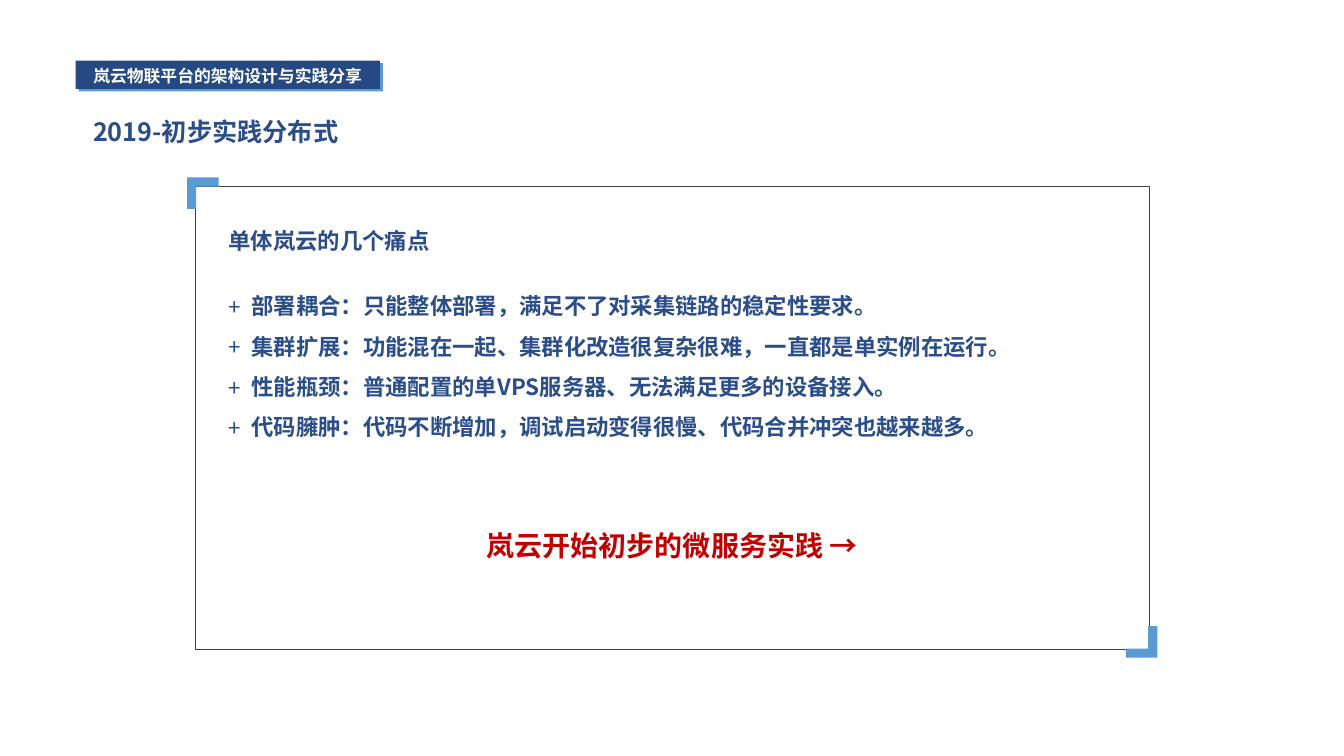
from lxml.etree import SubElement
from pptx import Presentation
from pptx.dml.color import RGBColor
from pptx.enum.shapes import MSO_SHAPE
from pptx.enum.text import MSO_ANCHOR, PP_ALIGN
from pptx.oxml.ns import qn
from pptx.util import Pt

NAVY = RGBColor(0x26, 0x49, 0x84)
INK = RGBColor(0x2B, 0x4D, 0x89)
SKY = RGBColor(0x5B, 0x9B, 0xD5)
RED = RGBColor(0xC0, 0x00, 0x00)
GRAY = RGBColor(0x40, 0x40, 0x40)
WHITE = RGBColor(0xFF, 0xFF, 0xFF)
CJK_FONT = "Noto Sans CJK SC"

PAIN_POINTS = [
    "部署耦合：只能整体部署，满足不了对采集链路的稳定性要求。",
    "集群扩展：功能混在一起、集群化改造很复杂很难，一直都是单实例在运行。",
    "性能瓶颈：普通配置的单VPS服务器、无法满足更多的设备接入。",
    "代码臃肿：代码不断增加，调试启动变得很慢、代码合并冲突也越来越多。",
]


def add_bullet(paragraph, character, indent):
    properties = paragraph._p.get_or_add_pPr()
    properties.set("marL", str(Pt(indent)))
    properties.set("indent", str(-Pt(indent)))
    SubElement(properties, qn("a:buFont"), typeface=CJK_FONT)
    SubElement(properties, qn("a:buChar"), char=character)


def add_text(slide, box, lines, size, color, name=CJK_FONT, bullet=None,
             paragraph_format=None, frame_format=None):
    frame = slide.shapes.add_textbox(*map(Pt, box)).text_frame
    frame.word_wrap = True
    for attribute, value in (frame_format or {}).items():
        setattr(frame, attribute, value)
    font_format = {"size": Pt(size), "name": name, "bold": True}
    for index, line in enumerate(lines):
        paragraph = frame.add_paragraph() if index else frame.paragraphs[0]
        for attribute, value in (paragraph_format or {}).items():
            setattr(paragraph, attribute, value)
        if bullet:
            add_bullet(paragraph, bullet, 16.5)
        run = paragraph.add_run()
        run.text = line
        for attribute, value in font_format.items():
            setattr(run.font, attribute, value)
        run.font.color.rgb = color
        SubElement(run._r.get_or_add_rPr(), qn("a:ea"), typeface=CJK_FONT)


def add_rectangle(slide, box, fill=None, line=None):
    shape = slide.shapes.add_shape(MSO_SHAPE.RECTANGLE, *map(Pt, box))
    shape.shadow.inherit = False
    if fill is None:
        shape.fill.background()
    else:
        shape.fill.solid()
        shape.fill.fore_color.rgb = fill
    if line is None:
        shape.line.fill.background()
    else:
        shape.line.color.rgb = line
        shape.line.width = Pt(0.25)


def add_corner(slide, x, y, direction):
    arm, thickness = 22.5 * direction, 6.5 * direction
    offsets = [(arm, 0), (arm, thickness), (thickness, thickness),
               (thickness, arm), (0, arm)]
    builder = slide.shapes.build_freeform(Pt(x), Pt(y))
    builder.add_line_segments([(Pt(x + dx), Pt(y + dy)) for dx, dy in offsets])
    corner = builder.convert_to_shape()
    corner.shadow.inherit = False
    corner.fill.solid()
    corner.fill.fore_color.rgb = SKY
    corner.line.fill.background()


def add_header(slide, left, top, width, height):
    add_rectangle(slide, (left + 2.2, top + 1.7, width, height), SKY)
    add_rectangle(slide, (left, top, width, height), NAVY)
    add_text(slide, (left, top, width, height + 1.5),
             ["岚云物联平台的架构设计与实践分享"], 12, WHITE, name="Arial",
             paragraph_format={"alignment": PP_ALIGN.CENTER})
    margins = dict.fromkeys(
        ("margin_left", "margin_top", "margin_right", "margin_bottom"), 0)
    add_text(slide, (left + 12.5, top + 39.6, width, 21.6),
             ["2019-初步实践分布式"], 18, INK,
             frame_format={"vertical_anchor": MSO_ANCHOR.MIDDLE, **margins})


def add_panel(slide, left, top, width, height):
    add_rectangle(slide, (left, top, width, height), line=GRAY)
    add_corner(slide, left - 6, top - 6, 1)
    add_corner(slide, left + width + 6, top + height + 6, -1)
    text_left, text_width = left + 16.5, width - 33
    spacing = {"line_spacing": 1.5}
    add_text(slide, (text_left, top + 16.2, text_width, 36),
             ["单体岚云的几个痛点"], 16, INK, paragraph_format=spacing)
    add_text(slide, (text_left, top + 63, text_width, 124),
             PAIN_POINTS, 16, INK, bullet="+", paragraph_format=spacing)
    add_text(slide, (text_left, top + 229.4, text_width, 43),
             ["岚云开始初步的微服务实践 →"], 20, RED,
             paragraph_format={"alignment": PP_ALIGN.CENTER, **spacing})


def main():
    presentation = Presentation()
    presentation.slide_width = Pt(960)
    presentation.slide_height = Pt(540)
    slide = presentation.slides.add_slide(presentation.slide_layouts[6])
    add_header(slide, 54, 43.3, 217.4, 20.2)
    add_panel(slide, 139.7, 132.8, 681, 331)
    presentation.save("out.pptx")


if __name__ == "__main__":
    main()
